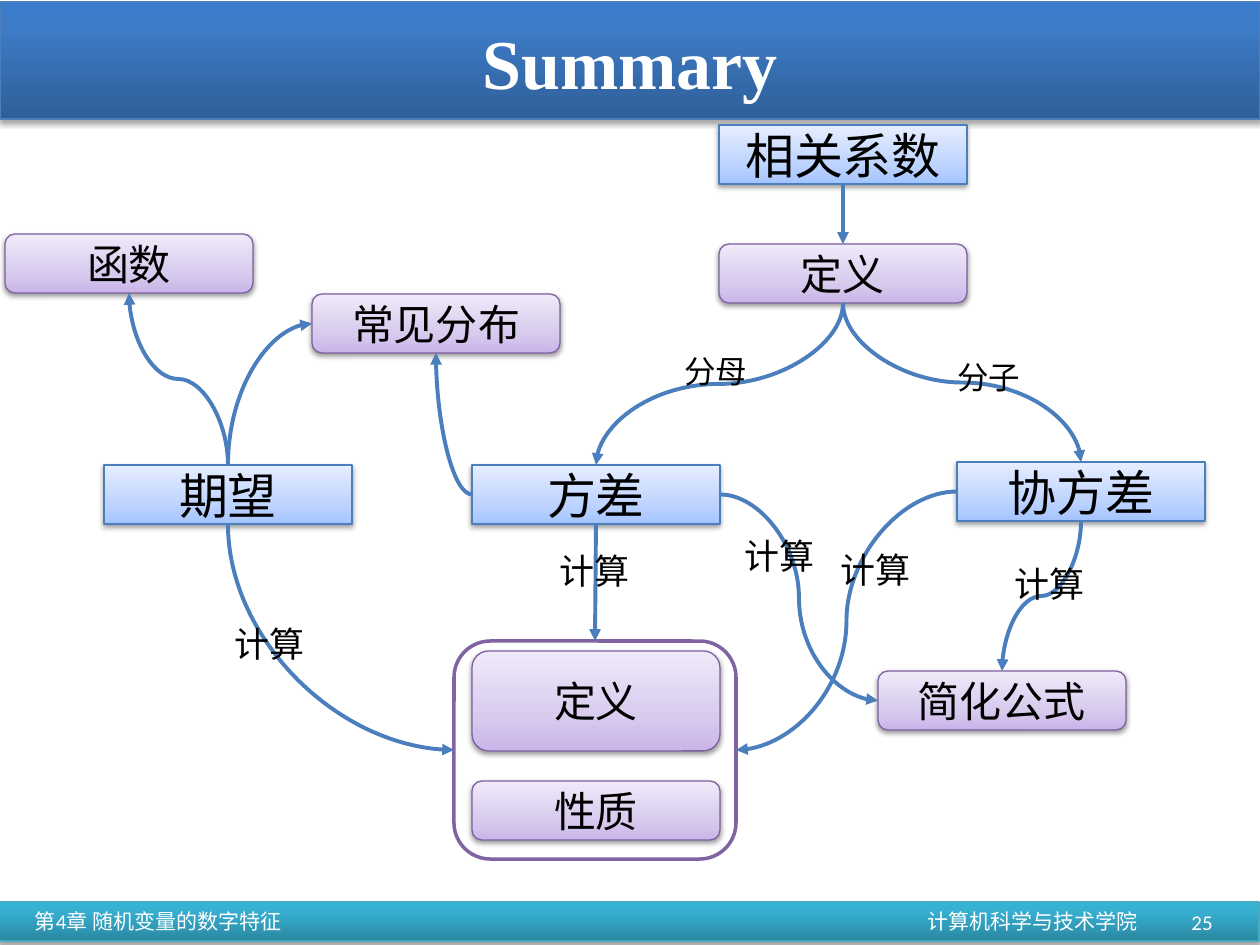
from lxml import etree
from pptx import Presentation
from pptx.dml.color import RGBColor
from pptx.enum.shapes import MSO_CONNECTOR, MSO_SHAPE
from pptx.enum.text import MSO_ANCHOR, MSO_AUTO_SIZE, PP_ALIGN
from pptx.oxml.ns import qn
from pptx.util import Pt

RECTANGLE, ROUNDED = MSO_SHAPE.RECTANGLE, MSO_SHAPE.ROUNDED_RECTANGLE
STRAIGHT, CURVE = MSO_CONNECTOR.STRAIGHT, MSO_CONNECTOR.CURVE
MIDDLE, TOP_ANCHOR = MSO_ANCHOR.MIDDLE, MSO_ANCHOR.TOP
GROW = MSO_AUTO_SIZE.SHAPE_TO_FIT_TEXT
ALIGN_LEFT, ALIGN_CENTER, ALIGN_RIGHT = PP_ALIGN.LEFT, PP_ALIGN.CENTER, PP_ALIGN.RIGHT
TOP, LEFT, BOTTOM, RIGHT = range(4)

BLUE, BLACK, WHITE = "4B7EBC", "000000", "FFFFFF"
HEADER_STOPS = [(0, "2F5F99"), (80, "3D7CC7"), (100, "3A7CCB")]
FOOTER_STOPS = [(0, "2A88A2"), (80, "37B1D2"), (100, "34B4D6")]
CONCEPT_STOPS = [(0, "A4C4FF"), (35, "BFD4FF"), (100, "E6EEFF")]
DETAIL_STOPS = [(0, "C9B5E8"), (35, "D8CBEE"), (100, "F0EAF9")]
BOX_WIDTH, BOX_HEIGHT = 248, 59


def px(length):
    return round(length * 914400 / 126)


def color(value):
    return RGBColor.from_string(value)


def add_element(parent, tag, **attributes):
    return etree.SubElement(parent, qn(tag), attributes)


class ConceptMap:
    """Hold the style and the slide of a concept map."""

    def __init__(self, presentation):
        self.slide = presentation.slides.add_slide(presentation.slide_layouts[5])
        self.shapes = self.slide.shapes

    def set_text(self, shape, text, size, font="Calibri", ink=BLACK,
                 align=ALIGN_CENTER, anchor=MIDDLE, inset=None):
        frame = shape.text_frame
        frame.word_wrap = True
        frame.vertical_anchor = anchor
        if inset is not None:
            frame.margin_left = frame.margin_right = px(inset)
        paragraph = frame.paragraphs[0]
        paragraph.text = text
        paragraph.alignment = align
        paragraph.font.size = Pt(size)
        paragraph.font.name = font
        paragraph.font.color.rgb = color(ink)
        return paragraph

    def block(self, kind, left, top, width, height, stops, line, alpha=38, distance=1.6):
        shape = self.shapes.add_shape(kind, px(left), px(top), px(width), px(height))
        shape.fill.gradient()
        shape.fill.gradient_angle = 90
        properties = shape.element.spPr
        stop_list = properties.find(".//" + qn("a:gsLst"))
        stop_list.clear()
        for position, value in stops:
            stop = add_element(stop_list, "a:gs", pos=str(position * 1000))
            add_element(stop, "a:srgbClr", val=value)
        shape.line.color.rgb = color(line)
        shape.line.width = Pt(0.75)
        shape.shadow.inherit = False
        shadow = add_element(properties.find(qn("a:effectLst")), "a:outerShdw",
                             blurRad=str(Pt(3.1)), dist=str(Pt(distance)),
                             dir="5400000", rotWithShape="0")
        tint = add_element(shadow, "a:srgbClr", val=BLACK)
        add_element(tint, "a:alpha", val=str(alpha * 1000))
        return shape

    def bar(self, left, top, width, height, stops, line):
        return self.block(RECTANGLE, left, top, width, height, stops, line, 35, 1.8)

    def concept(self, text, left, top):
        shape = self.block(RECTANGLE, left, top, BOX_WIDTH, BOX_HEIGHT, CONCEPT_STOPS, BLUE)
        self.set_text(shape, text, 28)
        return shape

    def detail(self, text, left, top, height=BOX_HEIGHT):
        shape = self.block(ROUNDED, left, top, BOX_WIDTH, height, DETAIL_STOPS, "7D60A0")
        self.set_text(shape, text, 24, inset=5)
        return shape

    def frame(self, left, top, width, height):
        shape = self.shapes.add_shape(ROUNDED, px(left), px(top), px(width), px(height))
        shape.fill.solid()
        shape.fill.fore_color.rgb = color(WHITE)
        shape.line.color.rgb = color("8064A2")
        shape.line.width = Pt(2)
        shape.shadow.inherit = False
        return shape

    def title(self, text, left, top, width, height):
        title = self.shapes.title
        title.left, title.top, title.width, title.height = map(px, (left, top, width, height))
        self.set_text(title, text, 40, "Times New Roman", WHITE).font.bold = True
        self.shapes.element.append(title.element)

    def footer(self, chapter, school):
        bar = self.bar(-1, 902, 1260, 39, FOOTER_STOPS, "46AAC5")
        properties = bar.text_frame.paragraphs[0]._p.get_or_add_pPr()
        tabs = add_element(properties, "a:tabLst")
        add_element(tabs, "a:tab", pos=str(px(1103)), algn="r")
        self.set_text(bar, f"{chapter}\t{school}", 12, ink=WHITE, align=ALIGN_LEFT, inset=36)

    def page_number(self, text, left, top, width, height):
        box = self.shapes.add_textbox(px(left), px(top), px(width), px(height))
        self.set_text(box, text, 12, ink=WHITE, align=ALIGN_RIGHT)

    def label(self, text, left, top, size=20):
        box = self.shapes.add_textbox(px(left), px(top), px(size * 3.5 + 26), px(size * 2.5 + 5))
        self.set_text(box, text, size, "Karla", align=ALIGN_LEFT, anchor=TOP_ANCHOR)
        box.text_frame.word_wrap = False
        box.text_frame.auto_size = GROW

    def arrow(self, kind, source, source_side, target, target_side):
        connector = self.shapes.add_connector(kind, 0, 0, 0, 0)
        connector.begin_connect(source, source_side)
        connector.end_connect(target, target_side)
        connector.line.color.rgb = color(BLUE)
        connector.line.width = Pt(2.25)
        properties = connector.element.spPr
        add_element(properties.find(qn("a:ln")), "a:tailEnd", type="triangle")
        add_element(properties, "a:effectLst")
        return connector

    def curve(self, source, source_side, target, target_side):
        connector = self.arrow(CURVE, source, source_side, target, target_side)
        start_x, start_y = connector.begin_x, connector.begin_y
        end_x, end_y = connector.end_x, connector.end_y
        width, height = abs(end_x - start_x), abs(end_y - start_y)
        leftward, upward = end_x < start_x, end_y < start_y
        vertical_start = source_side in (TOP, BOTTOM)
        turn, flips = 0, (leftward, upward)
        if vertical_start:
            width, height = height, width
            turn = 270 if upward else 90
            flips = (False, leftward == upward)
        connector.left = (start_x + end_x - width) // 2
        connector.top = (start_y + end_y - height) // 2
        connector.width, connector.height = width, height
        transform = connector.element.spPr.find(qn("a:xfrm"))
        transform.set("rot", str(turn * 60000))
        for name, flipped in zip(("flipH", "flipV"), flips):
            transform.set(name, str(int(flipped)))
        if vertical_start != (target_side in (TOP, BOTTOM)):
            connector.element.spPr.find(qn("a:prstGeom")).set("prst", "curvedConnector2")


def main():
    presentation = Presentation()
    presentation.slide_width, presentation.slide_height = px(1260), px(945)
    concept_map = ConceptMap(presentation)
    concept_map.footer("第4章 随机变量的数字特征", "计算机科学与技术学院")
    concept_map.bar(0, 2, 1260, 117, HEADER_STOPS, BLUE)
    concept_map.page_number("25", 931, 897, 294, 50)
    concept_map.title("Summary", 63, 13, 1134, 97)

    expectation = concept_map.concept("期望", 104, 465)
    variance = concept_map.concept("方差", 472, 465)
    covariance = concept_map.concept("协方差", 957, 462)
    correlation = concept_map.concept("相关系数", 719, 125)
    frame = concept_map.frame(454, 641, 282, 218)
    members = [frame, concept_map.detail("定义", 472, 651, 100), concept_map.detail("性质", 472, 781)]
    concept_map.shapes.add_group_shape(members)
    formula = concept_map.detail("简化公式", 878, 671)
    function = concept_map.detail("函数", 5, 234)
    definition = concept_map.detail("定义", 719, 244)
    distributions = concept_map.detail("常见分布", 312, 294)

    for source, target in ((variance, frame), (correlation, definition)):
        concept_map.arrow(STRAIGHT, source, BOTTOM, target, TOP)
    for ends in (
        (expectation, BOTTOM, frame, LEFT),
        (covariance, LEFT, frame, RIGHT),
        (variance, RIGHT, formula, LEFT),
        (covariance, BOTTOM, formula, TOP),
        (expectation, TOP, distributions, LEFT),
        (expectation, TOP, function, BOTTOM),
        (variance, LEFT, distributions, BOTTOM),
        (definition, BOTTOM, covariance, TOP),
        (definition, BOTTOM, variance, TOP),
    ):
        concept_map.curve(*ends)

    for left, top in ((222, 616), (547, 543), (732, 528), (828, 542), (1002, 556)):
        concept_map.label("计算", left, top)
    concept_map.label("分母", 672, 346, 18)
    concept_map.label("分子", 945, 352, 18)
    presentation.save("out.pptx")


if __name__ == "__main__":
    main()
